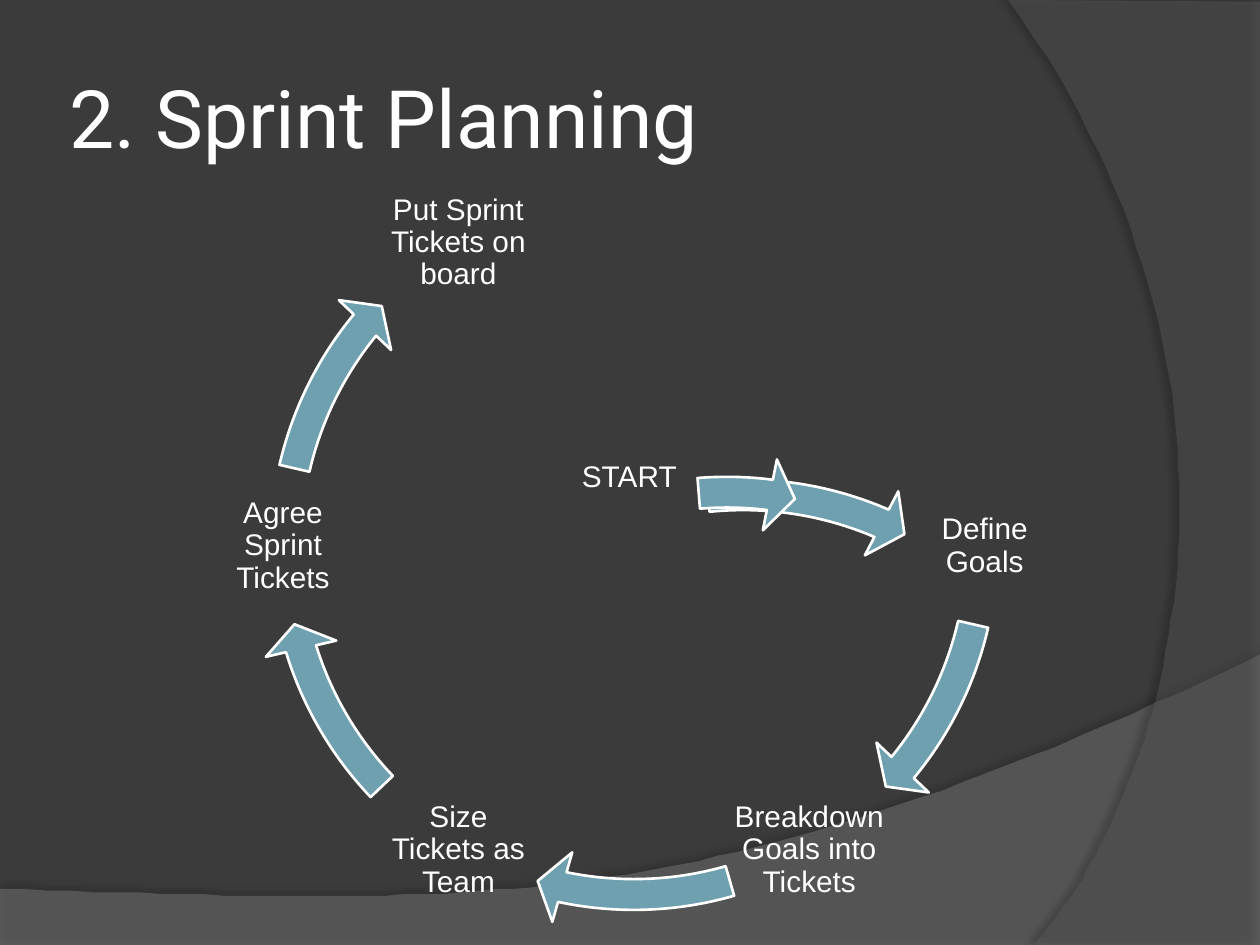
import math
import pptx
import pptx.util
import pptx.dml.color
import pptx.enum.shapes
import pptx.enum.text
import pptx.oxml
import pptx.oxml.ns

Pt = pptx.util.Pt
RGB = pptx.dml.color.RGBColor.from_string
ALIGN = pptx.enum.text.PP_ALIGN
ANCHOR = pptx.enum.text.MSO_ANCHOR
CIRCULAR_ARROW = pptx.enum.shapes.MSO_SHAPE.CIRCULAR_ARROW

THEME = {
    "background": "3B3B3B", "text": "FFFFFF", "arrow": "6EA0B0", "outline": "FFFFFF",
    "title": {"name": "Roboto", "size": Pt(46)},
    "label": {"name": "Arial", "size": Pt(17)},
}
TITLE = "2. Sprint Planning"
START = ("START", (359.6, 273.2))
STEPS = ["Define Goals", "Breakdown Goals into Tickets", "Size Tickets as Team",
         "Agree Sprint Tickets", "Put Sprint Tickets on board"]
CENTER, RADIUS = (362.2, 312.2), 200.5
LABEL_SIZE, RING_SIZE = 90, 439.2
STEP_ARCS = [(12.94, 39.45), (73.98, 101.85), (136.38, 162.89), (192.94, 219.45)]
START_ARROW = ((424.8, 481.7), (264.17, 293.39), 0)
FRONT_ARROW = ((415.4, 480.2), (316.06, 327.79), 309.3)
WAVES = [
    {"edge": [(0, 507.6), (0, 540), (720, 540), (720, 374.4)],
     "curve": [(720, 374.4), (402.5, 524.9), (281.5, 517.7), (0, 507.6)],
     "fill": "7F7F7F", "opacity": 45, "shadow": (35, 4, 3.5, 270)},
    {"edge": [(720, 1.4), (720, 540), (591.1, 540)],
     "curve": [(591.1, 540), (673.2, 445.7), (733, 216), (576, 0)],
     "fill": "5E5E5E", "opacity": 40, "shadow": (45, 4, 4, 180)},
]


def apply(obj, values):
    for name, value in values.items():
        setattr(obj, name, value)


def bezier(points, steps=60):
    for i in range(1, steps + 1):
        t = i / steps
        weights = [math.comb(3, k) * t ** k * (1 - t) ** (3 - k) for k in range(4)]
        yield tuple(sum(w * p[axis] for w, p in zip(weights, points)) for axis in (0, 1))


def add_wave(shapes, wave):
    edge = wave["edge"]
    builder = shapes.build_freeform(*edge[0], scale=Pt(1))
    builder.add_line_segments(edge[1:] + list(bezier(wave["curve"])), close=True)
    sp = builder.convert_to_shape()
    sp.fill.solid()
    sp.fill.fore_color.rgb = RGB(wave["fill"])
    sp.line.fill.background()
    ns = pptx.oxml.ns.nsdecls("a")
    color = sp.fill._xPr.find(".//" + pptx.oxml.ns.qn("a:srgbClr"))
    color.append(pptx.oxml.parse_xml(f'<a:alpha {ns} val="{wave["opacity"] * 1000}"/>'))
    opacity, blur, distance, angle = wave["shadow"]
    sp._element.spPr.append(pptx.oxml.parse_xml(
        f'<a:effectLst {ns}><a:outerShdw blurRad="{Pt(blur)}" dist="{Pt(distance)}" '
        f'dir="{angle * 60000}" rotWithShape="0"><a:srgbClr val="000000">'
        f'<a:alpha val="{opacity * 1000}"/></a:srgbClr></a:outerShdw></a:effectLst>'))


def add_text(shapes, text, box, font, inset, **paragraph):
    tf = shapes.add_textbox(*map(Pt, box)).text_frame
    apply(tf, {"word_wrap": True, "vertical_anchor": ANCHOR.MIDDLE,
               **{f"margin_{side}": Pt(inset) for side in ("left", "top", "right", "bottom")}})
    p = tf.paragraphs[0]
    apply(p, paragraph)
    r = p.add_run()
    r.text = text
    apply(r.font, font)
    r.font.color.rgb = RGB(THEME["text"])


def centered(center, size):
    return center[0] - size / 2, center[1] - size / 2, size, size


def add_label(shapes, text, center):
    add_text(shapes, text, centered(center, LABEL_SIZE), THEME["label"], 1.5,
             alignment=ALIGN.CENTER, line_spacing=0.9)


def add_arrow(shapes, center, arc, rotation=0):
    sp = shapes.add_shape(CIRCULAR_ARROW, *map(Pt, centered(center, RING_SIZE)))
    start, end = arc
    for i, value in enumerate((0.04, 2.503, end * 0.6, start * 0.6, 0.047)):
        sp.adjustments[i] = value
    sp.rotation = rotation
    sp.shadow.inherit = False
    sp.fill.solid()
    sp.fill.fore_color.rgb = RGB(THEME["arrow"])
    sp.line.color.rgb = RGB(THEME["outline"])
    sp.line.width = Pt(1.5)


prs = pptx.Presentation()
apply(prs, {"slide_width": Pt(720), "slide_height": Pt(540)})
slide = prs.slides.add_slide(prs.slide_layouts[6])
slide.background.fill.solid()
slide.background.fill.fore_color.rgb = RGB(THEME["background"])

for wave in WAVES:
    add_wave(slide.shapes, wave)
add_text(slide.shapes, TITLE, (36, 21.6, 588.2, 90), THEME["title"], 3.6)

cycle = slide.shapes.add_group_shape().shapes
add_label(cycle, *START)
add_arrow(cycle, *START_ARROW)
for i, step in enumerate(STEPS):
    angle = math.radians(60 * i)
    add_label(cycle, step, (CENTER[0] + RADIUS * math.cos(angle),
                            CENTER[1] + RADIUS * math.sin(angle)))
    if i < len(STEP_ARCS):
        add_arrow(cycle, CENTER, STEP_ARCS[i])
add_arrow(cycle, *FRONT_ARROW)

prs.save("out.pptx")
